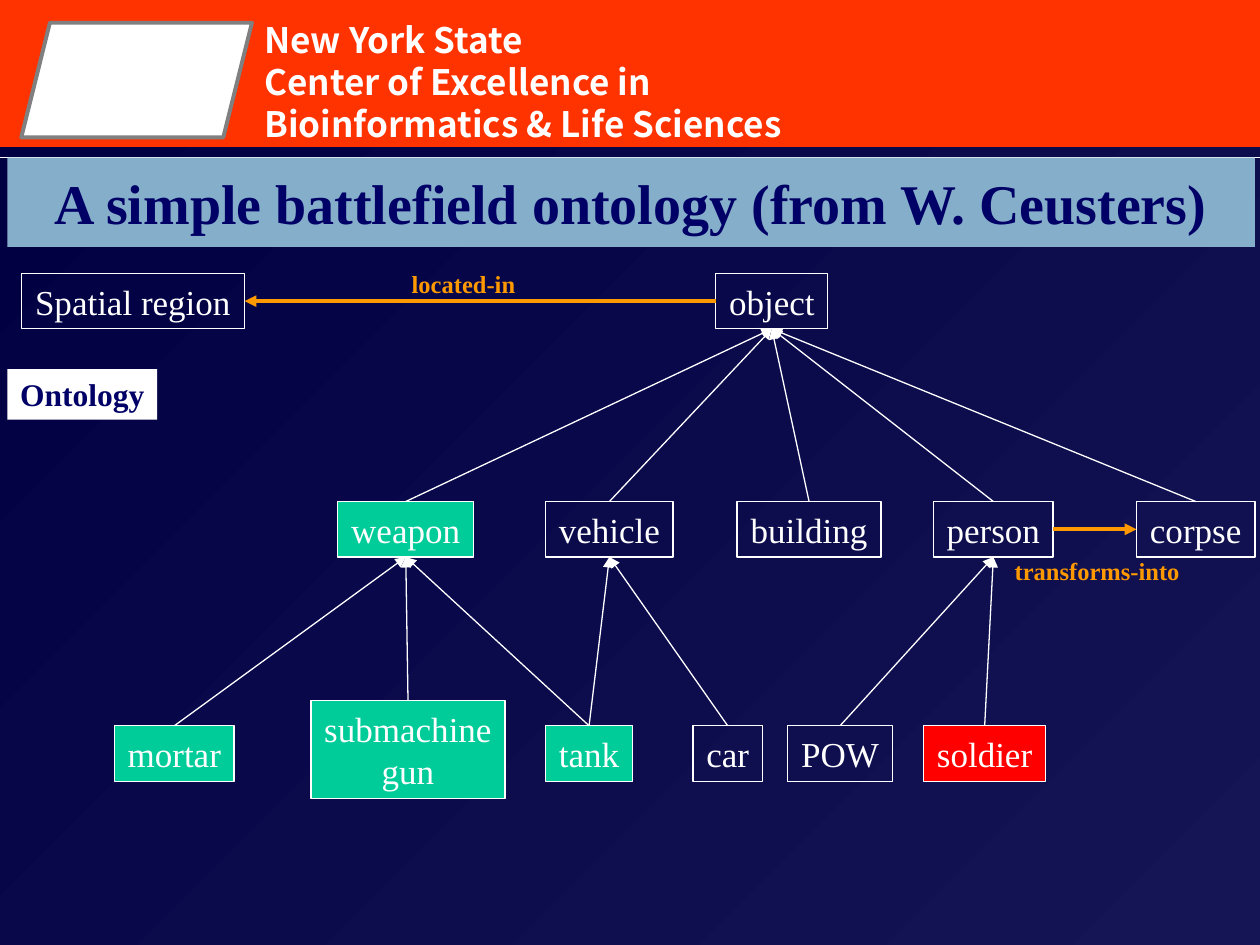
"""Build the battlefield ontology slide."""
from lxml import etree
from pptx import Presentation
from pptx.dml.color import RGBColor
from pptx.enum.shapes import MSO_CONNECTOR, MSO_SHAPE
from pptx.enum.text import MSO_ANCHOR, PP_ALIGN
from pptx.oxml.ns import qn
from pptx.util import Cm, Pt

STRAIGHT = MSO_CONNECTOR.STRAIGHT
RECTANGLE = MSO_SHAPE.RECTANGLE
PARALLELOGRAM = MSO_SHAPE.PARALLELOGRAM
MIDDLE = MSO_ANCHOR.MIDDLE
LEFT, CENTER = PP_ALIGN.LEFT, PP_ALIGN.CENTER
TOP_SITE, LEFT_SITE, BOTTOM_SITE, RIGHT_SITE = range(4)
COLORS = {
    "banner": "FF3300", "night": "000042", "dusk": "151555", "white": "FFFFFF",
    "gray": "808080", "title": "84AECA", "navy": "000066", "weapon": "00CC99",
    "soldier": "FF0000", "relation": "FF9900",
}


def rgb(name):
    return RGBColor.from_string(COLORS[name])


def write(shape, text, size=20, font="Times New Roman", color="white", bold=False,
          align=CENTER, wrap=False, spacing=None):
    frame = shape.text_frame
    frame.word_wrap = wrap
    frame.vertical_anchor = MIDDLE
    frame.text = text
    for paragraph in frame.paragraphs:
        paragraph.alignment = align
        paragraph.line_spacing = spacing
        paragraph.font.size = Pt(size)
        paragraph.font.name = font
        paragraph.font.bold = bold
        paragraph.font.color.rgb = rgb(color)


prs = Presentation()
prs.slide_width, prs.slide_height = Cm(25.4), Cm(19.05)
slide = prs.slides.add_slide(prs.slide_layouts[6])
shapes = slide.shapes
slide.background.fill.solid()
slide.background.fill.fore_color.rgb = rgb("banner")

field = shapes.add_shape(RECTANGLE, Cm(0), Cm(2.97), Cm(25.4), Cm(16.08))
field.shadow.inherit = False
field.line.fill.background()
field.fill.gradient()
field.fill.gradient_angle = 315
for stop, shade in zip(field.fill.gradient_stops, ("night", "dusk")):
    stop.color.rgb = rgb(shade)

emblem = shapes.add_shape(PARALLELOGRAM, Cm(0.43), Cm(0.46), Cm(4.65), Cm(2.31))
emblem.shadow.inherit = False
emblem.fill.solid()
emblem.fill.fore_color.rgb = rgb("white")
emblem.line.color.rgb = rgb("gray")
emblem.line.width = Pt(2.25)

center_name = shapes.add_textbox(Cm(5.08), Cm(0.25), Cm(11.63), Cm(2.8))
write(center_name, "New York State\nCenter of Excellence in Bioinformatics & Life Sciences",
      font="Noto Sans CJK KR", bold=True, align=LEFT, wrap=True, spacing=Pt(24))

divider = shapes.add_connector(STRAIGHT, Cm(0), Cm(3.18), Cm(25.4), Cm(3.18))
divider.line.color.rgb = rgb("white")
divider.line.width = Pt(0.75)
etree.SubElement(divider._element.spPr, qn("a:effectLst"))

for text, left, top, width, height, fill, size in (
    ("A simple battlefield ontology (from W. Ceusters)", 0.15, 3.18, 25.15, 1.8, "title", 32),
    ("Ontology", 0.15, 7.44, 3.02, 1.02, "white", 18),
):
    heading = shapes.add_shape(RECTANGLE, Cm(left), Cm(top), Cm(width), Cm(height))
    heading.shadow.inherit = False
    heading.fill.solid()
    heading.fill.fore_color.rgb = rgb(fill)
    heading.line.fill.background()
    write(heading, text, size=size, color="navy", bold=True)

ROOT, CLASS, LEAF, ROW = 5.51, 10.11, 14.63, 1.12
terms = {}
for term, left, top, width, height, fill in (
    ("Spatial region", 0.43, ROOT, 4.5, ROW, None),
    ("object", 14.43, ROOT, 2.26, ROW, None),
    ("weapon", 6.81, CLASS, 2.74, ROW, "weapon"),
    ("vehicle", 11, CLASS, 2.57, ROW, None),
    ("building", 14.86, CLASS, 2.9, ROW, None),
    ("person", 18.82, CLASS, 2.41, ROW, None),
    ("corpse", 22.91, CLASS, 2.39, ROW, None),
    ("mortar", 2.31, LEAF, 2.41, ROW, "weapon"),
    ("submachine\ngun", 6.27, 14.12, 3.91, 1.98, "weapon"),
    ("tank", 11, LEAF, 1.75, ROW, "weapon"),
    ("car", 13.97, LEAF, 1.4, ROW, None),
    ("POW", 15.88, LEAF, 2.11, ROW, None),
    ("soldier", 18.62, LEAF, 2.46, ROW, "soldier"),
):
    box = shapes.add_shape(RECTANGLE, Cm(left), Cm(top), Cm(width), Cm(height))
    box.shadow.inherit = False
    box.line.color.rgb = rgb("white")
    box.line.width = Pt(0.75)
    if fill:
        box.fill.solid()
        box.fill.fore_color.rgb = rgb(fill)
    else:
        box.fill.background()
    write(box, term)
    terms[term] = box

subclasses = {
    "object": ("weapon", "vehicle", "building", "person", "corpse"),
    "weapon": ("mortar", "submachine\ngun", "tank"),
    "vehicle": ("tank", "car"),
    "person": ("POW", "soldier"),
}
links = [(child, TOP_SITE, parent, BOTTOM_SITE, "white", 0.75)
         for parent, children in subclasses.items() for child in children]
links += [
    ("object", LEFT_SITE, "Spatial region", RIGHT_SITE, "relation", 2.25),
    ("person", RIGHT_SITE, "corpse", LEFT_SITE, "relation", 2.25),
]
for source, source_site, target, target_site, color, weight in links:
    link = shapes.add_connector(STRAIGHT, Cm(0), Cm(0), Cm(1), Cm(1))
    link.begin_connect(terms[source], source_site)
    link.end_connect(terms[target], target_site)
    link.line.color.rgb = rgb(color)
    link.line.width = Pt(weight)
    etree.SubElement(link.line._get_or_add_ln(), qn("a:tailEnd"), type="triangle")
    etree.SubElement(link._element.spPr, qn("a:effectLst"))

for relation, left, top, width in (
    ("located-in", 8.05, 5.3, 2.59),
    ("transforms-into", 20.19, 11.09, 3.86),
):
    label = shapes.add_textbox(Cm(left), Cm(top), Cm(width), Cm(0.85))
    write(label, relation, size=14, color="relation", bold=True)

prs.save("out.pptx")
